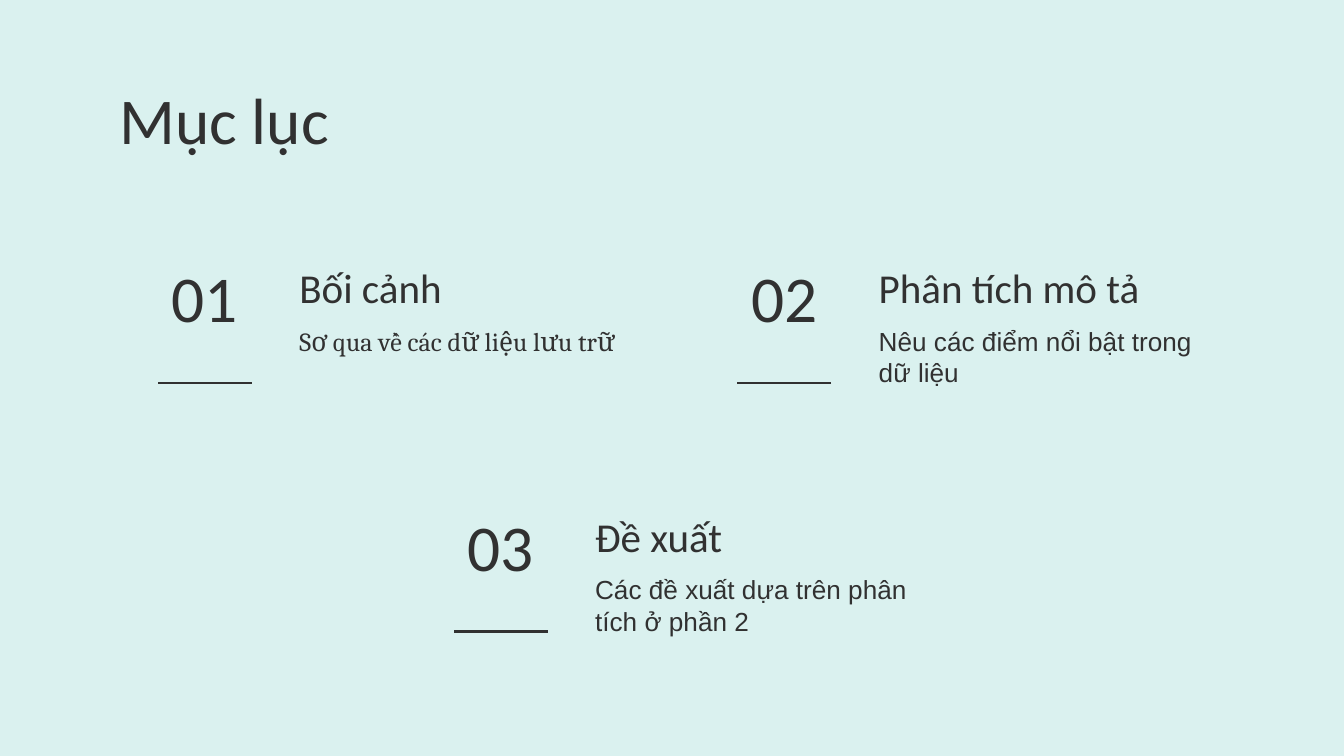
from lxml import etree
from pptx import Presentation
from pptx.dml.color import RGBColor
from pptx.enum.shapes import MSO_CONNECTOR
from pptx.enum.text import MSO_ANCHOR, PP_ALIGN
from pptx.oxml.ns import qn
from pptx.util import Inches, Pt

STRAIGHT = MSO_CONNECTOR.STRAIGHT
TOP, BOTTOM = MSO_ANCHOR.TOP, MSO_ANCHOR.BOTTOM
LEFT, CENTER = PP_ALIGN.LEFT, PP_ALIGN.CENTER

WIDTH = 10
HEIGHT = WIDTH * 9 / 16
INK, MINT = "313131", "DAF1EF"
HEADING_FONT = "Calibri"
INSET = 0.1

ENTRY_W, ENTRY_H = 3.69, 1.13
ROW_TOPS = (1.72, 3.57)
COLUMN_LEFTS = (1, 5.31)
LAST_LEFT = 3.2

ENTRIES = [
    (COLUMN_LEFTS[0], ROW_TOPS[0], "Bối cảnh", "Sơ qua về các dữ liệu lưu trữ", "Cambria"),
    (COLUMN_LEFTS[1], ROW_TOPS[0], "Phân tích mô tả", "Nêu các điểm nổi bật trong dữ liệu", "Arial"),
    (LAST_LEFT, ROW_TOPS[1], "Đề xuất", "Các đề xuất dựa trên phân tích ở phần 2", "Arial"),
]


def color(hex_string):
    return RGBColor.from_string(hex_string)


def add_text(slide, box, text, size, font=HEADING_FONT, anchor=TOP, align=LEFT):
    frame = slide.shapes.add_textbox(*map(Inches, box)).text_frame
    frame.word_wrap = True
    frame.vertical_anchor = anchor
    frame.margin_left = frame.margin_right = Inches(INSET)
    frame.margin_top = frame.margin_bottom = Inches(INSET)
    frame.text = text
    paragraph = frame.paragraphs[0]
    paragraph.alignment = align
    style = paragraph.runs[0].font
    style.size = Pt(size)
    style.name = font
    style.color.rgb = color(INK)


def add_rule(slide, left, right, y):
    rule = slide.shapes.add_connector(
        STRAIGHT, Inches(right), Inches(y), Inches(left), Inches(y))
    rule.line.color.rgb = color(INK)
    rule.line.width = Pt(1.5)
    etree.SubElement(rule._element.spPr, qn("a:effectLst"))


def add_entry(slide, box, number, heading, summary, summary_font):
    """Place a numbered, underlined entry with its heading and summary."""
    left, top, width, height = box
    number_w, rule_w = 1.05, 0.7
    text_left = left + 1.13
    text_w = left + width - text_left
    summary_top = top + 0.6

    add_text(slide, (text_left, top + 0.12, text_w, 0.58), heading, 22, anchor=BOTTOM)
    add_text(slide, (left, top, number_w, 0.88), number, 35, anchor=BOTTOM, align=CENTER)
    add_text(slide, (text_left, summary_top, text_w, top + height - summary_top),
             summary, 14, summary_font)
    rule_left = left + (number_w - rule_w) / 2
    add_rule(slide, rule_left, rule_left + rule_w, top + height)


def build_contents_slide(presentation):
    slide = presentation.slides.add_slide(presentation.slide_layouts[6])
    background = slide.background.fill
    background.solid()
    background.fore_color.rgb = color(MINT)

    for index, (left, top, heading, summary, font) in enumerate(ENTRIES, start=1):
        add_entry(slide, (left, top, ENTRY_W, ENTRY_H), f"{index:02d}", heading, summary, font)
    margin = 0.79
    add_text(slide, (margin, 0.49, WIDTH - 2 * margin, 0.63), "Mục lục", 35)


def main():
    presentation = Presentation()
    presentation.slide_width = Inches(WIDTH)
    presentation.slide_height = Inches(HEIGHT)
    build_contents_slide(presentation)
    presentation.save("out.pptx")


if __name__ == "__main__":
    main()
